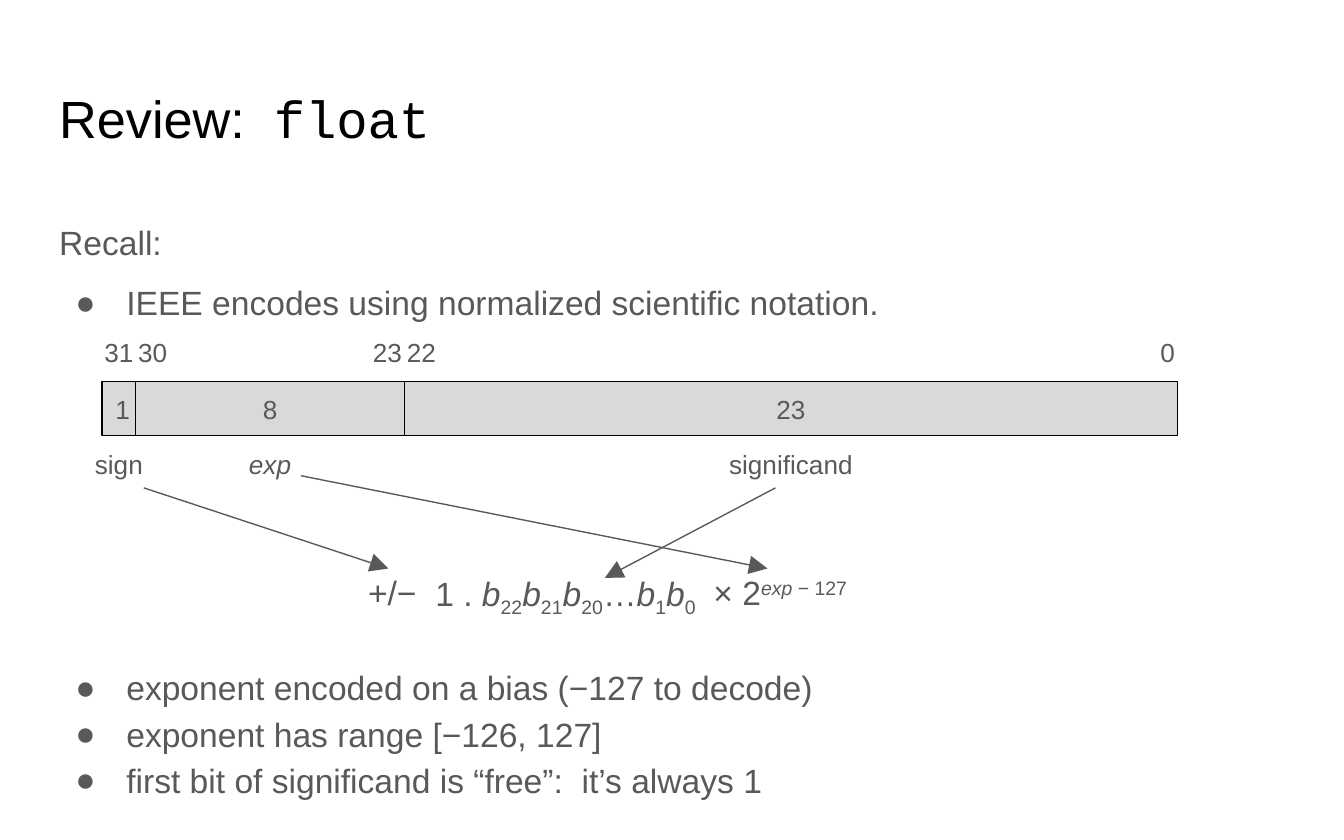
import pptx
import pptx.util
import pptx.dml.color
import pptx.enum.text
import pptx.enum.shapes
import pptx.oxml.ns
import lxml.etree

Inches, Pt = pptx.util.Inches, pptx.util.Pt
RGB = pptx.dml.color.RGBColor
ALIGN, ANCHOR = pptx.enum.text.PP_ALIGN, pptx.enum.text.MSO_ANCHOR
RECT = pptx.enum.shapes.MSO_SHAPE.RECTANGLE
STRAIGHT = pptx.enum.shapes.MSO_CONNECTOR.STRAIGHT
qn = pptx.oxml.ns.qn

BLACK, GRAY, FILL = RGB(0, 0, 0), RGB(0x59, 0x59, 0x59), RGB(0xD9, 0xD9, 0xD9)
MARGIN, BODY_W = 0.34, 9.32
BIT, BAR_X, BAR_Y, BAR_H = 0.25, 0.76, 2.84, 0.4
NUMBER_Y, NAME_Y, FORMULA_Y = 2.42, 3.25, 4.11


def write(sp, box, lines, size, align=ALIGN.LEFT, anchor=ANCHOR.TOP,
          spacing=1.0, after=0, color=GRAY, bullet=False):
    """Place a shape and fill it; a line is a list of (text, italic, baseline)."""
    sp.left, sp.top, sp.width, sp.height = [Inches(v) for v in box]
    tf = sp.text_frame
    tf.word_wrap, tf.vertical_anchor = True, anchor
    tf.auto_size = pptx.enum.text.MSO_AUTO_SIZE.NONE
    tf.margin_left = tf.margin_right = tf.margin_top = tf.margin_bottom = Inches(0.1)
    for i, line in enumerate(lines):
        p = tf.add_paragraph() if i else tf.paragraphs[0]
        p.alignment, p.line_spacing = align, spacing
        p.space_before, p.space_after = Pt(0), Pt(after)
        pPr = p._p.get_or_add_pPr()
        pPr.set("marL", str(Inches(0.5 if bullet else 0)))
        pPr.set("indent", str(Inches(-0.38 if bullet else 0)))
        if bullet:
            clr = lxml.etree.SubElement(pPr, qn("a:buClr"))
            lxml.etree.SubElement(clr, qn("a:srgbClr")).set("val", str(color))
            lxml.etree.SubElement(pPr, qn("a:buFont")).set("typeface", "Arial")
            lxml.etree.SubElement(pPr, qn("a:buChar")).set("char", "●")
        else:
            lxml.etree.SubElement(pPr, qn("a:buNone"))
        for text, italic, baseline in line:
            r = p.add_run()
            r.text = text
            r.font.name, r.font.size, r.font.color.rgb = "Arial", Pt(size), color
            r.font.bold, r.font.italic = False, italic
            if baseline:
                r.font._element.set("baseline", str(baseline * 1000))


def plain(*texts):
    """Return one upright single-run line for each text."""
    return [[(text, False, 0)] for text in texts]


prs = pptx.Presentation()
prs.slide_width, prs.slide_height = Inches(10), Inches(6.25)
s = prs.slides.add_slide(prs.slide_layouts.get_by_name("Comparison"))
title, recall, notation, facts, spare = s.placeholders
spare._element.getparent().remove(spare._element)

# Title and lists
write(title, (MARGIN, 0.54, BODY_W, 0.7),
      [[("Review:  ", False, 0), ("float", False, 0)]], 28, color=BLACK)
title.text_frame.paragraphs[0].runs[1].font.name = "Courier New"
write(recall, (MARGIN, 1.4, BODY_W, 4.15), plain("Recall:"), 18, spacing=1.5)
write(notation, (MARGIN, 1.85, BODY_W, 4.15),
      plain("IEEE encodes using normalized scientific notation."), 18,
      spacing=1.5, after=16, bullet=True)
write(facts, (MARGIN, 4.82, BODY_W, 1.41),
      plain("exponent encoded on a bias (−127 to decode)",
            "exponent has range [−126, 127]",
            "first bit of significand is “free”:  it’s always 1"),
      18, spacing=1.15, bullet=True)

# Bit fields, each as wide as its number of bits
labels = []
x = BAR_X
for bits, name, high, low in [(1, "sign", "31", None), (8, "exp", "30", "23"),
                              (23, "significand", "22", "0")]:
    w = bits * BIT
    sp = s.shapes.add_shape(RECT, 0, 0, 0, 0)
    sp.shadow.inherit = False
    sp.fill.solid()
    sp.fill.fore_color.rgb = FILL
    sp.line.color.rgb, sp.line.width = BLACK, Pt(0.75)
    write(sp, (x, BAR_Y, w, BAR_H), plain(str(bits)), 14, ALIGN.CENTER, ANCHOR.MIDDLE)
    name_w = max(w, 2)
    name_x = x + (w - name_w) / 2
    labels.append((name, name_x, NAME_Y, name_w, ALIGN.CENTER))
    if low is None:
        labels.append((high, name_x, NUMBER_Y, name_w, ALIGN.CENTER))
    else:
        labels.append((high, x - 0.08, NUMBER_Y, 0.66, ALIGN.LEFT))
        labels.append((low, x + w - 0.67, NUMBER_Y, 0.75, ALIGN.RIGHT))
    x += w

for text, left, top, w, align in labels:
    sp = s.shapes.add_textbox(0, 0, 0, 0)
    write(sp, (left, top, w, BAR_H), [[(text, text == "exp", 0)]], 14, align, ANCHOR.MIDDLE)

# Formula
digits = [("1 . ", False, 0)]
for index in ("22", "21", "20", "…", "1", "0"):
    if index == "…":
        digits.append((index, False, 0))
    else:
        digits += [("b", True, 0), (index, False, -25)]
power = [("× 2", False, 0), ("exp", True, 30), (" − 127", False, 30)]
for left, w, h, line in [(2.64, 6.14, 2.08, plain("+/−")[0]),
                         (3.14, 3.22, 0.7, digits),
                         (5.21, 6.14, 2.08, power)]:
    sp = s.shapes.add_textbox(0, 0, 0, 0)
    write(sp, (left, FORMULA_Y, w, h), [line], 18, spacing=1.15, after=16)

# Arrows from the field names to the formula
for ends in [(1.07, 3.63, 2.89, 4.23), (5.77, 3.63, 4.5, 4.3), (2.24, 3.54, 5.71, 4.23)]:
    arrow = s.shapes.add_connector(STRAIGHT, *[Inches(v) for v in ends])
    arrow.line.color.rgb, arrow.line.width = GRAY, Pt(0.75)
    tail = lxml.etree.SubElement(arrow.line._get_or_add_ln(), qn("a:tailEnd"))
    tail.set("type", "triangle")
    tail.set("w", "lg")
    tail.set("len", "lg")
    lxml.etree.SubElement(arrow._element.spPr, qn("a:effectLst"))

prs.save("out.pptx")
